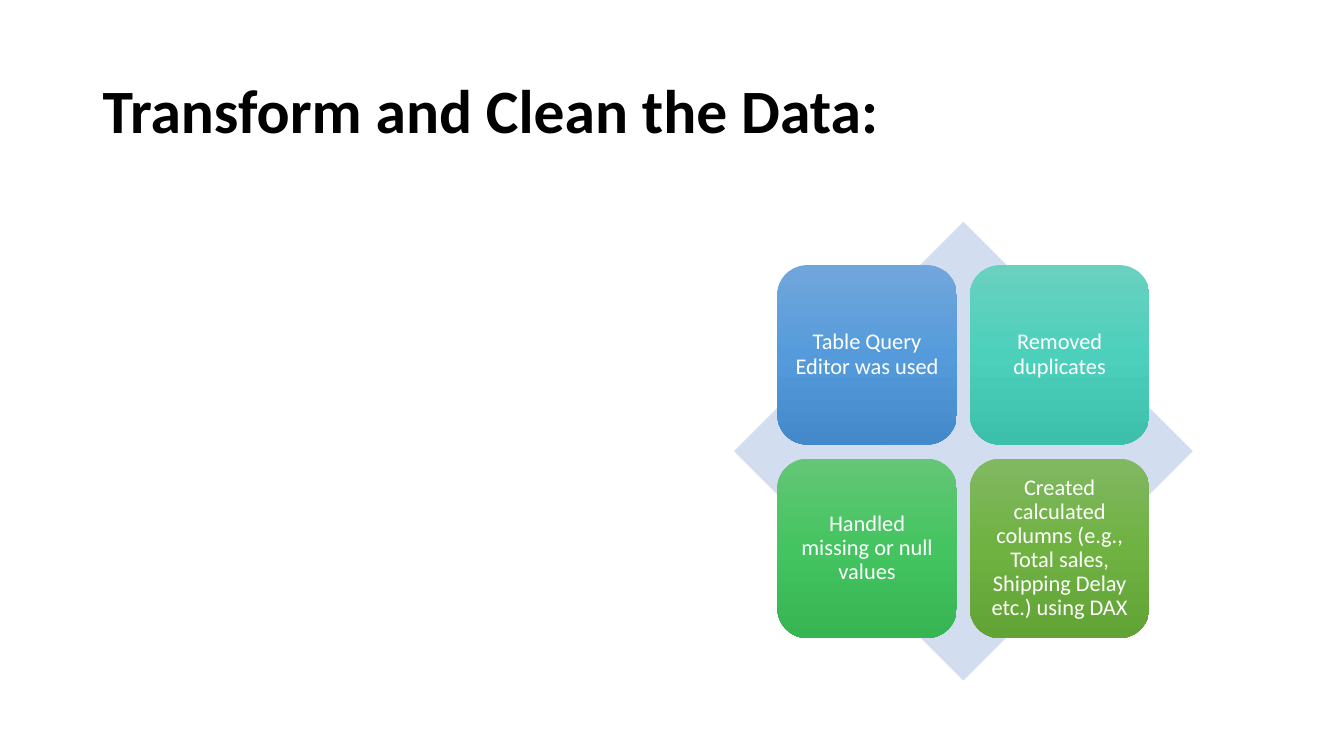
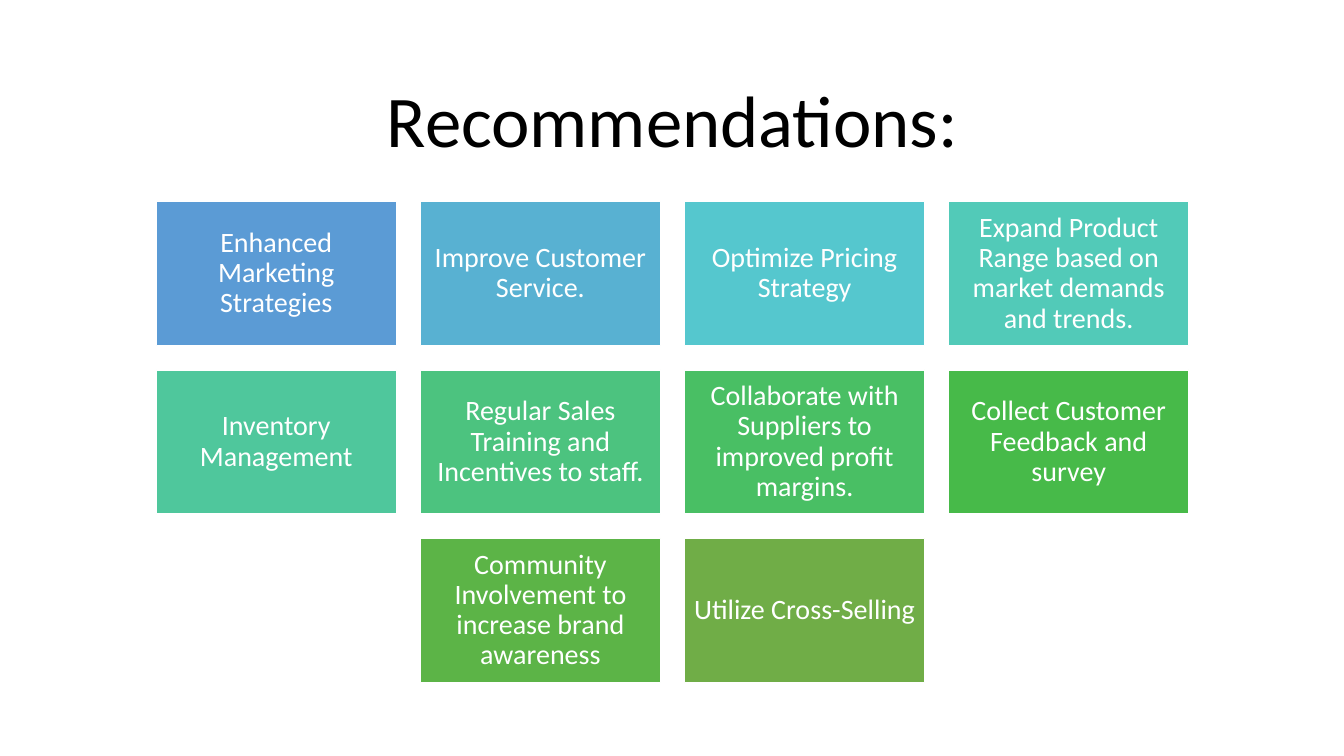
from copy import deepcopy

from pptx import Presentation
from pptx.dml.color import RGBColor
from pptx.enum.shapes import MSO_SHAPE
from pptx.enum.text import MSO_ANCHOR, PP_ALIGN
from pptx.oxml.ns import qn
from pptx.util import Inches, Pt

DIAMOND = MSO_SHAPE.DIAMOND
ROUND = MSO_SHAPE.ROUNDED_RECTANGLE
RECT = MSO_SHAPE.RECTANGLE
MIDDLE = MSO_ANCHOR.MIDDLE
LEFT, CENTER = PP_ALIGN.LEFT, PP_ALIGN.CENTER

FONT = "Calibri"
BLACK = RGBColor(0x00, 0x00, 0x00)
WHITE = RGBColor(0xFF, 0xFF, 0xFF)
PALE = RGBColor(0xD2, 0xDE, 0xEF)

# Label, then gradient colours from top to bottom
STEPS = [
    ("Table Query Editor was used", "71A6DB", "559BDB", "448ACA"),
    ("Removed duplicates", "6AD1C0", "4CD0BC", "3CC0AC"),
    ("Handled missing or null values", "64C677", "44C460", "36B552"),
    ("Created calculated columns (e.g., Total sales, Shipping Delay etc.) using DAX",
     "81B861", "6FB242", "62A336"),
]

ADVICE = [
    ("Enhanced Marketing Strategies", "5B9BD5"),
    ("Improve Customer Service.", "58B1D2"),
    ("Optimize Pricing Strategy", "55C7CE"),
    ("Expand Product Range based on market demands and trends.", "52CAB8"),
    ("Inventory Management", "4FC79C"),
    ("Regular Sales Training and Incentives to staff.", "4CC37F"),
    ("Collaborate with Suppliers to improved profit margins.", "49BF64"),
    ("Collect Customer Feedback and survey", "47BA49"),
    ("Community Involvement to increase brand awareness", "5CB447"),
    ("Utilize Cross-Selling", "70AD47"),
]


def write(shape, text, size, color, align=CENTER, bold=False, inset=None):
    """Put one vertically centred paragraph into a shape."""
    frame = shape.text_frame
    frame.word_wrap = True
    frame.vertical_anchor = MIDDLE
    if inset is not None:
        frame.margin_left = frame.margin_right = Inches(inset)
        frame.margin_top = frame.margin_bottom = Inches(inset)
    para = frame.paragraphs[0]
    para.alignment = align
    para.line_spacing = 0.9
    run = para.add_run()
    run.text = text
    run.font.name = FONT
    run.font.size = Pt(size)
    run.font.bold = bold
    run.font.color.rgb = color


def start(title, top, height, size, align, bold):
    """Add a blank slide with its title."""
    slide = deck.slides.add_slide(deck.slide_layouts[6])
    box = slide.shapes.add_textbox(
        Inches(0.92), Inches(top), Inches(11.5), Inches(height))
    write(box, title, size, BLACK, align, bold)
    return slide


deck = Presentation()
deck.slide_width = Inches(13.33)
deck.slide_height = Inches(7.5)

# Data cleaning: four tiles over a diamond
slide = start("Transform and Clean the Data:", 0.4, 1.45, 44, LEFT, True)
back = slide.shapes.add_shape(
    DIAMOND, Inches(7.28), Inches(2.2), Inches(4.55), Inches(4.55))
back.shadow.inherit = False
back.fill.solid()
back.fill.fore_color.rgb = PALE
back.line.fill.background()

for i, (label, *shades) in enumerate(STEPS):
    row, col = divmod(i, 2)
    tile = slide.shapes.add_shape(
        ROUND, Inches(7.71 + col * 1.91), Inches(2.63 + row * 1.92),
        Inches(1.78), Inches(1.78))
    tile.shadow.inherit = False
    tile.line.fill.background()
    tile.fill.gradient()
    tile.fill.gradient_angle = 270
    stops = tile._element.spPr.find(".//" + qn("a:gsLst"))
    stops.append(deepcopy(stops[-1]))
    for stop, place, shade in zip(tile.fill.gradient_stops, (0, 0.5, 1), shades):
        stop.position = place
        stop.color.rgb = RGBColor.from_string(shade)
    write(tile, label, 16, WHITE, inset=0.07)

# Recommendations: rows of four, the last row centred
slide = start("Recommendations:", 0.61, 1.24, 52, CENTER, False)
COLS = 4
for i, (label, shade) in enumerate(ADVICE):
    row, col = divmod(i, COLS)
    count = min(COLS, len(ADVICE) - row * COLS)
    col += (COLS - count) / 2
    card = slide.shapes.add_shape(
        RECT, Inches(1.55 + col * 2.62), Inches(2 + row * 1.67),
        Inches(2.38), Inches(1.43))
    card.shadow.inherit = False
    card.fill.solid()
    card.fill.fore_color.rgb = RGBColor.from_string(shade)
    card.line.color.rgb = WHITE
    card.line.width = Pt(1)
    write(card, label, 20, WHITE, inset=0.08)

deck.save("out.pptx")
